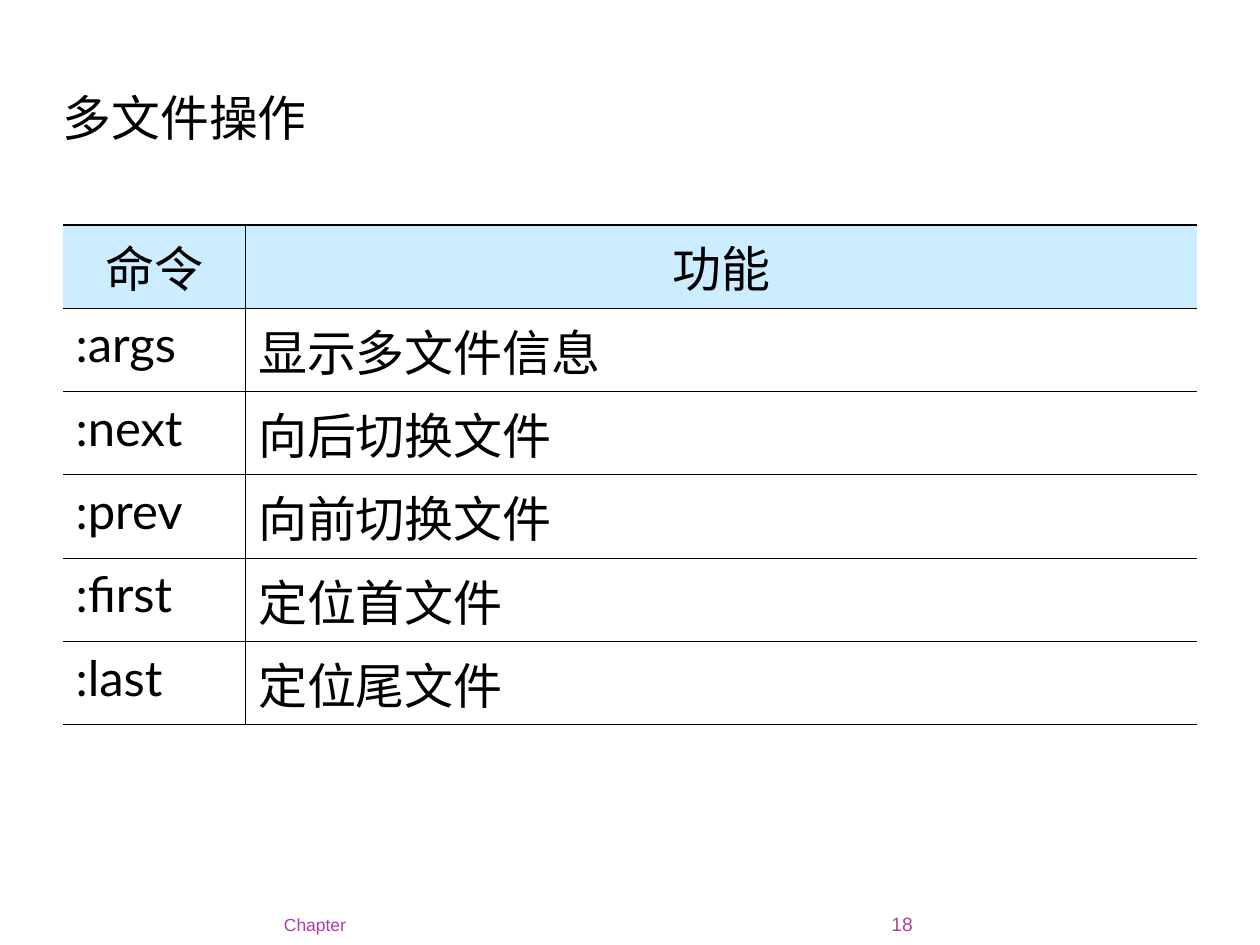
import pptx
import pptx.util
import pptx.dml.color
import pptx.enum.text
import pptx.oxml
import pptx.oxml.ns

Cm = pptx.util.Cm
Pt = pptx.util.Pt
RGBColor = pptx.dml.color.RGBColor
ALIGN = pptx.enum.text.PP_ALIGN
ANCHOR = pptx.enum.text.MSO_ANCHOR

BLACK = RGBColor(0x00, 0x00, 0x00)
PLUM = RGBColor(0xB1, 0x3F, 0x9A)
SKY = RGBColor(0xCC, 0xEC, 0xFF)
THIN, THICK = 0.45, 1.08
PLAIN = "{2D5ABB26-0587-4C30-8999-92F81FD0307C}"

ROWS = [
    ("命令", "功能"),
    (":args", "显示多文件信息"),
    (":next", "向后切换文件"),
    (":prev", "向前切换文件"),
    (":first", "定位首文件"),
    (":last", "定位尾文件"),
]


def style(para, font, size, color, align):
    para.alignment = align
    para.font.name = font
    para.font.size = Pt(size)
    para.font.color.rgb = color


def add_text(slide, text, area, font, size, color, align, anchor):
    box = slide.shapes.add_textbox(*(Cm(n) for n in area))
    frame = box.text_frame
    frame.word_wrap = True
    frame.vertical_anchor = anchor
    frame.margin_left = frame.margin_right = 0
    frame.margin_top = frame.margin_bottom = 0
    frame.text = text
    style(frame.paragraphs[0], font, size, color, align)


def add_edges(cell, edges):
    props = cell._tc.get_or_add_tcPr()
    for spot, (side, width) in enumerate(edges):
        line = pptx.oxml.parse_xml(
            f'<a:ln{side} {pptx.oxml.ns.nsdecls("a")} w="{Pt(width)}">'
            f'<a:solidFill><a:srgbClr val="{BLACK}"/></a:solidFill>'
            f'</a:ln{side}>'
        )
        props.insert(spot, line)


def fill_cell(cell, text, row, col):
    head = row == 0
    cell.text = text
    align = ALIGN.CENTER if head else ALIGN.LEFT
    style(cell.text_frame.paragraphs[0], "Lato", 28, BLACK, align)
    if head:
        cell.fill.solid()
        cell.fill.fore_color.rgb = SKY
    else:
        cell.fill.background()
    add_edges(cell, [
        ("R" if col == 0 else "L", THIN),
        ("T", THICK if head else THIN),
        ("B", THIN),
    ])


def add_grid(slide):
    high = 1.68
    frame = slide.shapes.add_table(
        len(ROWS), 2, Cm(1.27), Cm(4.53), Cm(22.86), Cm(high * len(ROWS)))
    table = frame.table
    table.first_row = False
    table.horz_banding = False
    table._tbl.tblPr.find(pptx.oxml.ns.qn("a:tableStyleId")).text = PLAIN
    for col, width in zip(table.columns, (3.68, 19.18)):
        col.width = Cm(width)
    for row, texts in enumerate(ROWS):
        for col, text in enumerate(texts):
            fill_cell(table.cell(row, col), text, row, col)


def main():
    deck = pptx.Presentation()
    deck.slide_width, deck.slide_height = Cm(25.4), Cm(19.05)
    slide = deck.slides.add_slide(deck.slide_layouts[6])
    add_text(slide, "Chapter", (1.27, 18.2, 10.16, 0.64),
             "Arial", 10, PLUM, ALIGN.CENTER, ANCHOR.BOTTOM)
    add_text(slide, "18", (17.37, 18.22, 1.63, 0.64),
             "Arial", 11, PLUM, ALIGN.CENTER, ANCHOR.BOTTOM)
    add_grid(slide)
    add_text(slide, "多文件操作", (1.27, 1.45, 18.14, 1.83),
             "Lato", 27.9, BLACK, ALIGN.LEFT, ANCHOR.MIDDLE)
    deck.save("out.pptx")


if __name__ == "__main__":
    main()
